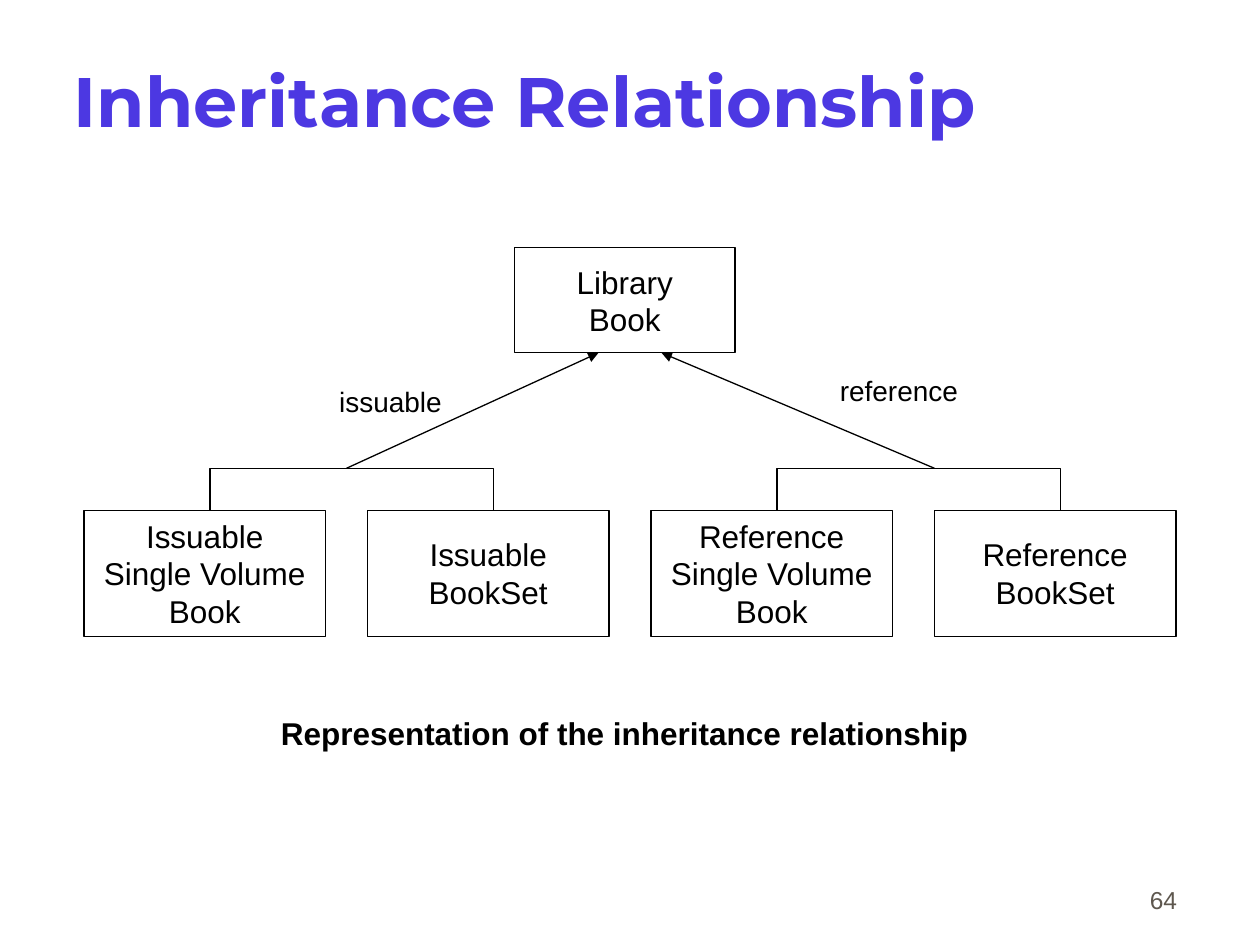
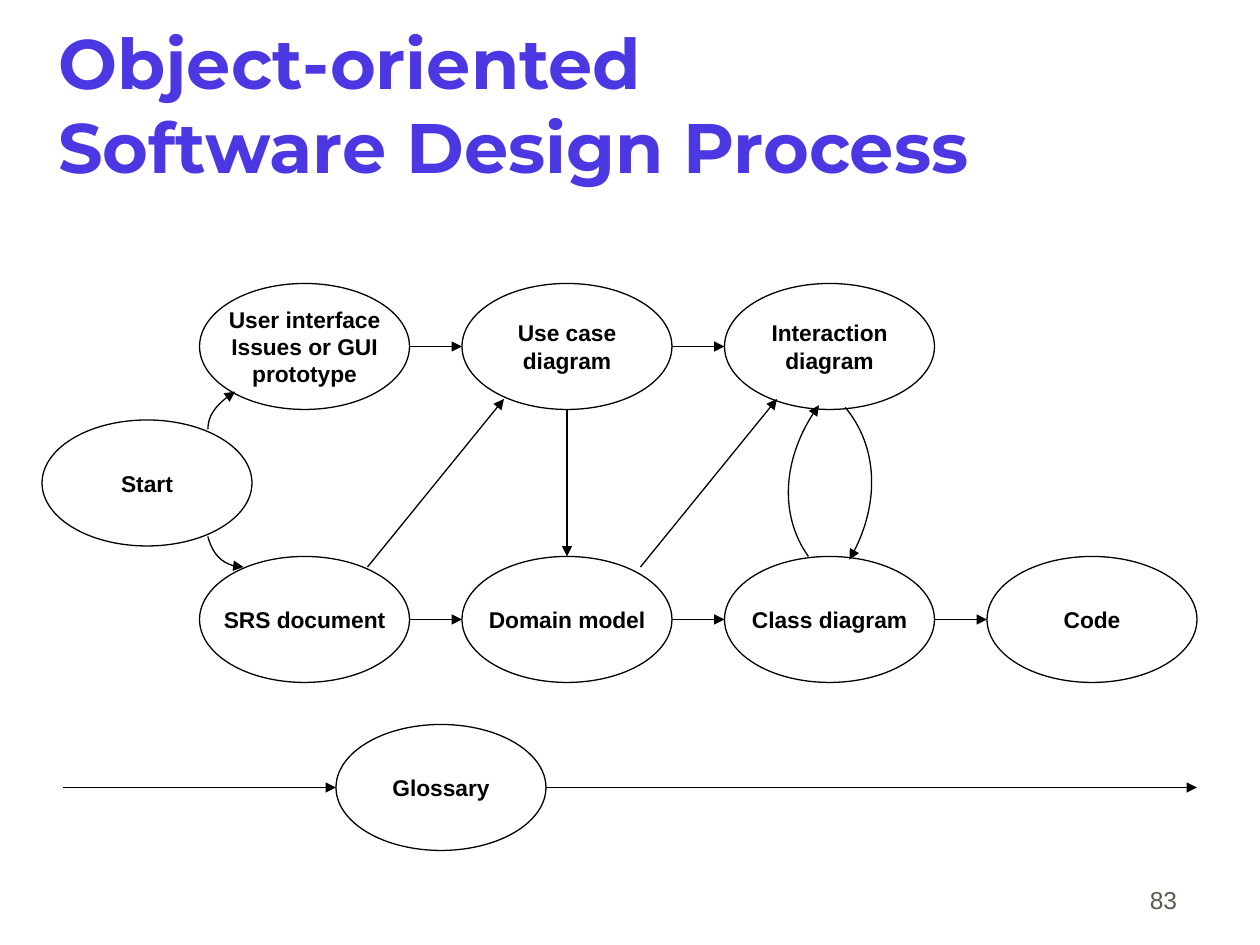
from lxml.etree import SubElement
from pptx import Presentation
from pptx.dml.color import RGBColor
from pptx.enum.shapes import MSO_CONNECTOR, MSO_SHAPE
from pptx.enum.text import MSO_ANCHOR, MSO_AUTO_SIZE, PP_ALIGN
from pptx.oxml.ns import qn
from pptx.util import Inches, Pt

BLACK = RGBColor(0x00, 0x00, 0x00)
WHITE = RGBColor(0xFF, 0xFF, 0xFF)
VIOLET = RGBColor(0x4C, 0x38, 0xE2)
GREY = RGBColor(0x5E, 0x57, 0x4E)
COLUMNS, ROWS = 120, 90
TITLE_ONLY = 5


def write(frame, text, size=18, color=BLACK, font="Arial", bold=False,
          align=PP_ALIGN.CENTER, anchor=MSO_ANCHOR.MIDDLE, wrap=False, margins=(0, 0)):
    """Fill a text frame; each line is a paragraph and \\v breaks a line within one."""
    frame.text = text
    frame.auto_size = MSO_AUTO_SIZE.NONE
    frame.word_wrap = wrap
    frame.vertical_anchor = anchor
    frame.margin_left = frame.margin_right = Inches(margins[0])
    frame.margin_top = frame.margin_bottom = Inches(margins[1])
    for paragraph in frame.paragraphs:
        paragraph.alignment = align
        paragraph.font.size = Pt(size)
        paragraph.font.name = font
        paragraph.font.bold = bold
        paragraph.font.color.rgb = color


class DiagramDeck:
    """Builds slides on a grid of COLUMNS by ROWS with one line and text style."""

    def __init__(self, width, height):
        self.presentation = Presentation()
        self.presentation.slide_width = width
        self.presentation.slide_height = height
        self.column = width / COLUMNS
        self.row = height / ROWS
        self.slide = None

    def place(self, *grid):
        """Turn alternating columns and rows into slide lengths."""
        units = (self.column, self.row)
        return [round(value * units[index % 2]) for index, value in enumerate(grid)]

    def start_slide(self, title, number, column, row, indent=0):
        layout = self.presentation.slide_layouts[TITLE_ONLY]
        self.slide = self.presentation.slides.add_slide(layout)
        heading = self.slide.shapes.title
        heading.left, heading.top, heading.width, heading.height = self.place(
            column, row, 102, 15)
        write(heading.text_frame, title, size=40, color=VIOLET, font="Montserrat", bold=True,
              align=PP_ALIGN.LEFT, wrap=True, margins=(0.02, 0.05))
        heading.text_frame.margin_left += round(indent * self.column)
        self.label(str(number), 88.3, 81.7, 25, 6, size=14, color=GREY, wrap=True,
                   align=PP_ALIGN.RIGHT, anchor=MSO_ANCHOR.BOTTOM, margins=(0.1, 0.05))

    def label(self, text, *grid, **text_format):
        box = self.slide.shapes.add_textbox(*self.place(*grid))
        write(box.text_frame, text, **text_format)

    def node(self, kind, text, *grid, fill=None, **text_format):
        shape = self.slide.shapes.add_shape(kind, *self.place(*grid))
        self.outline(shape, fill)
        write(shape.text_frame, text, **text_format)

    def outline(self, shape, fill=None):
        shape.shadow.inherit = False
        if fill is None:
            shape.fill.background()
        else:
            shape.fill.solid()
            shape.fill.fore_color.rgb = fill
        self.stroke(shape)

    def stroke(self, shape, arrow=False):
        shape.line.color.rgb = BLACK
        shape.line.width = Pt(0.75)
        if arrow:
            line = shape._element.spPr.find(qn("a:ln"))
            SubElement(line, qn("a:tailEnd"), type="triangle")

    def arrow(self, *grid):
        connector = self.slide.shapes.add_connector(MSO_CONNECTOR.STRAIGHT, *self.place(*grid))
        self.stroke(connector, arrow=True)
        SubElement(connector._element.spPr, qn("a:effectLst"))

    def open_line(self, points):
        start, *others = [self.place(*point) for point in points]
        builder = self.slide.shapes.build_freeform(*start)
        builder.add_line_segments(others, close=False)
        shape = builder.convert_to_shape()
        self.outline(shape)
        return shape

    def curved_arrow(self, points):
        """Draw a Bézier arrow from its start, two control points and end."""
        shape = self.open_line(points)
        outline = shape._element.find(".//" + qn("a:path"))
        segments = outline.findall(qn("a:lnTo"))
        curve = SubElement(outline, qn("a:cubicBezTo"))
        for segment in segments:
            curve.append(segment[0])
            outline.remove(segment)
        self.stroke(shape, arrow=True)


def add_inheritance_slide(deck):
    deck.start_slide("Inheritance Relationship", 64, 5, 2, indent=1.8)
    parent_top, parent_height = 23.6, 10
    parent_bottom = parent_top + parent_height
    bracket_top = parent_bottom + 11
    child_top = bracket_top + 4
    child_width, child_step, first_child = 23, 27, 8

    deck.node(MSO_SHAPE.RECTANGLE, "Library\nBook", 49, parent_top, 21, parent_height, fill=WHITE)
    children = ("Issuable\nSingle Volume\nBook", "Issuable\nBookSet",
                "Reference\nSingle Volume\nBook", "Reference\nBookSet")
    for index, text in enumerate(children):
        deck.node(MSO_SHAPE.RECTANGLE, text, first_child + index * child_step, child_top,
                  child_width, 12, fill=WHITE)

    for left, arrow_start, arrow_end in ((20, 33, 57), (74, 89, 63)):
        right = left + child_step
        deck.open_line([(left, child_top), (left, bracket_top),
                        (right, bracket_top), (right, child_top)])
        deck.arrow(arrow_start, bracket_top, arrow_end, parent_bottom)

    for text, column, row, width in (("issuable", 32.3, 36.6, 9.7), ("reference", 80, 35.6, 11.3)):
        deck.label(text, column, row, width, 3.2, size=16, align=PP_ALIGN.LEFT,
                   anchor=MSO_ANCHOR.TOP)
    deck.label("Representation of the inheritance relationship", 37, 67.6, 45, 4.4, bold=True)


def add_process_slide(deck):
    deck.start_slide("Object-oriented\vSoftware Design Process", 83, 5.3, 2.4)
    width, height, gap = 20, 12, 5
    first_column, step = 19, width + gap
    stages = {
        27: ("User interface\nIssues or GUI\nprototype", "Use case\ndiagram",
             "Interaction\ndiagram"),
        53: ("SRS document", "Domain model", "Class diagram", "Code"),
    }

    def ellipse(text, column, row):
        deck.node(MSO_SHAPE.OVAL, text, column, row, width, height, size=13, bold=True)

    for top, texts in stages.items():
        middle = top + height / 2
        for index, text in enumerate(texts):
            left = first_column + index * step
            ellipse(text, left, top)
            if index:
                deck.arrow(left - gap, middle, left, middle)

    ellipse("Start", 4, 40)
    ellipse("Glossary", 32, 69)
    straight_arrows = (
        (54, 39, 54, 53),
        (35, 54, 48, 38),
        (61, 54, 74, 38),
        (6, 75, 32, 75),
        (52, 75, 114, 75),
    )
    for ends in straight_arrows:
        deck.arrow(*ends)

    curves = (
        ((80.5, 38.8), (83.6, 42.5), (83.8, 48.4), (80.9, 53.3)),
        ((77, 53), (74.2, 49.1), (74.6, 43.2), (78, 38.6)),
        ((19.8, 40.9), (19.8, 39.6), (20.9, 38.2), (22.4, 37.3)),
        ((19.8, 51.1), (20.3, 52.9), (21.7, 54.1), (23.2, 54)),
    )
    for points in curves:
        deck.curved_arrow(points)


def main():
    deck = DiagramDeck(Inches(10), Inches(7.5))
    add_inheritance_slide(deck)
    add_process_slide(deck)
    deck.presentation.save("out.pptx")


if __name__ == "__main__":
    main()
